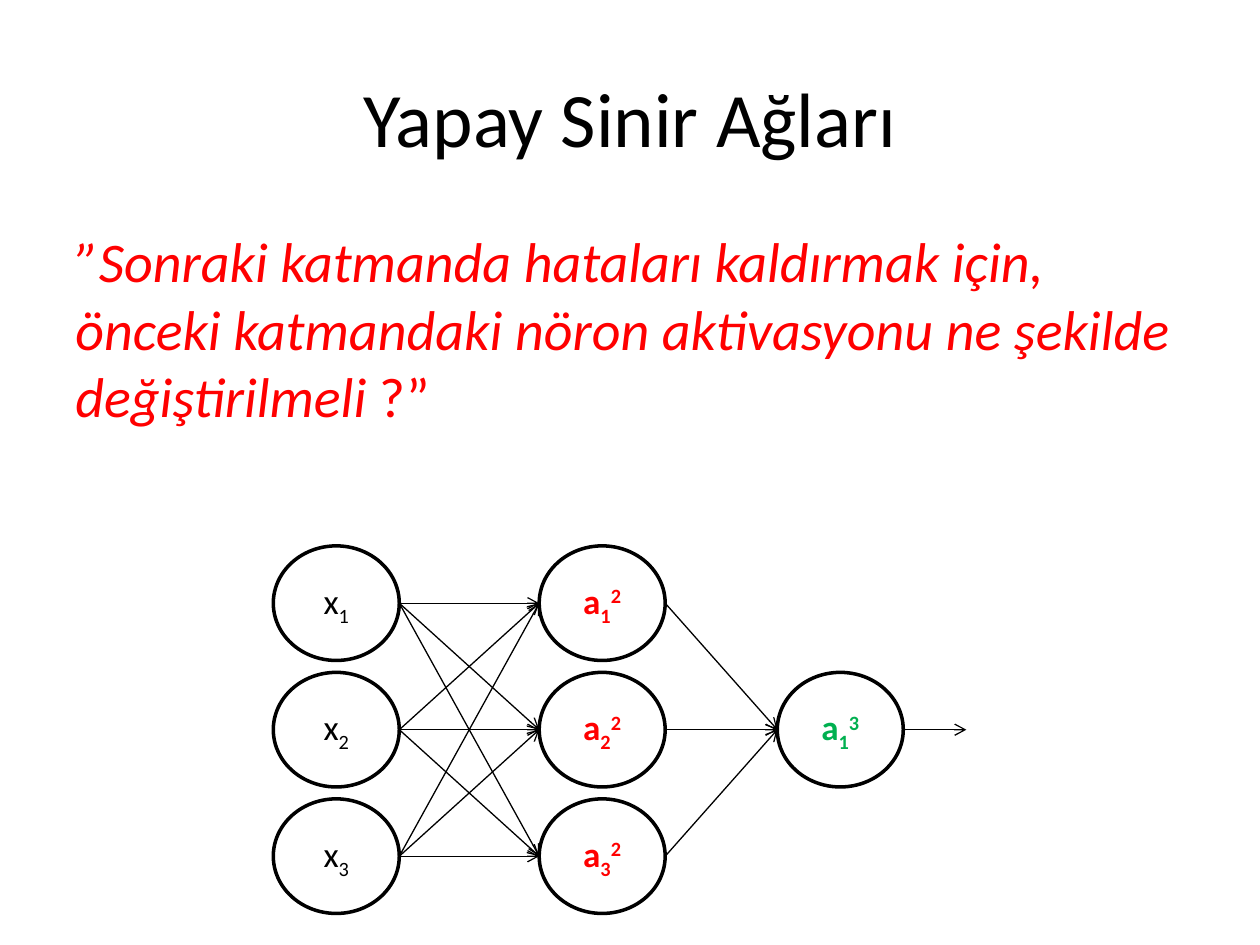
from itertools import product

from lxml.etree import SubElement
from pptx import Presentation
from pptx.dml.color import RGBColor
from pptx.enum.shapes import MSO_CONNECTOR, MSO_SHAPE
from pptx.enum.text import MSO_ANCHOR, PP_ALIGN
from pptx.oxml.ns import qn
from pptx.util import Cm, Pt

# Content
TITLE = "Yapay Sinir Ağları"
QUESTION = [
    ("”Sonraki katmanda hataları kaldırmak için, "
     "önceki katmandaki nöron aktivasyonu ne şekilde değiştirilmeli ", True),
    ("?”", False),
]
# Each neuron: letter, subscript, superscript
LAYERS = [
    {"left": 5.51, "color": "input", "neurons": [("x", "1", ""), ("x", "2", ""), ("x", "3", "")]},
    {"left": 10.87, "color": "hidden", "neurons": [("a", "1", "2"), ("a", "2", "2"), ("a", "3", "2")]},
    {"left": 15.67, "color": "output", "neurons": [("a", "1", "3")]},
]
COLORS = {"ink": "000000", "paper": "FFFFFF", "question": "FF0000",
          "input": "000000", "hidden": "FF0000", "output": "00B050"}
FONT = "Calibri"

# Network layout in cm
NEURON_WIDTH, NEURON_HEIGHT = 2.54, 2.31
MIDDLE_Y, ROW_PITCH = 14.71, 2.55
OUTPUT_LENGTH = 1.27
BASELINES = (0, -25000, 30000)


def rgb(name):
    return RGBColor.from_string(COLORS[name])


def add_run(paragraph, text, size, color, bold=False, italic=False, baseline=0):
    run = paragraph.add_run()
    run.text = text
    font = run.font
    font.name, font.size, font.bold, font.italic = FONT, Pt(size), bold, italic
    font.color.rgb = rgb(color)
    if baseline:
        run._r.get_or_add_rPr().set("baseline", str(baseline))


def add_text_area(top, height, anchor, align):
    frame = slide.shapes.add_textbox(Cm(1.27), Cm(top), Cm(22.86), Cm(height)).text_frame
    frame.word_wrap = True
    frame.vertical_anchor = anchor
    frame.paragraphs[0].alignment = align
    return frame.paragraphs[0]


def add_neuron(left, center_y, label, color):
    neuron = slide.shapes.add_shape(
        MSO_SHAPE.OVAL, Cm(left), Cm(center_y - NEURON_HEIGHT / 2),
        Cm(NEURON_WIDTH), Cm(NEURON_HEIGHT))
    neuron.shadow.inherit = False
    neuron.fill.solid()
    neuron.fill.fore_color.rgb = rgb("paper")
    neuron.line.color.rgb = rgb("ink")
    neuron.line.width = Pt(2)
    frame = neuron.text_frame
    frame.vertical_anchor = MSO_ANCHOR.MIDDLE
    paragraph = frame.paragraphs[0]
    paragraph.alignment = PP_ALIGN.CENTER
    for text, baseline in zip(label, BASELINES):
        if text:
            add_run(paragraph, text, 20, color, bold=color != "input", baseline=baseline)


def add_arrow(start_x, start_y, end_x, end_y):
    arrow = slide.shapes.add_connector(
        MSO_CONNECTOR.STRAIGHT, Cm(start_x), Cm(start_y), Cm(end_x), Cm(end_y))
    arrow.line.color.rgb = rgb("ink")
    arrow.line.width = Pt(0.75)
    SubElement(arrow.line._get_or_add_ln(), qn("a:tailEnd"), type="arrow")
    SubElement(arrow._element.spPr, qn("a:effectLst"))


def center_rows(layer):
    count = len(layer["neurons"])
    return [MIDDLE_Y + (row - (count - 1) / 2) * ROW_PITCH for row in range(count)]


presentation = Presentation()
presentation.slide_width, presentation.slide_height = Cm(25.4), Cm(19.05)
slide = presentation.slides.add_slide(presentation.slide_layouts[6])

# Title and question
title = add_text_area(0.76, 3.18, MSO_ANCHOR.MIDDLE, PP_ALIGN.CENTER)
add_run(title, TITLE, 44, "ink")
question = add_text_area(4.45, 6.55, MSO_ANCHOR.TOP, PP_ALIGN.LEFT)
for text, italic in QUESTION:
    add_run(question, text, 32, "question", italic=italic)

# Neurons
for layer in LAYERS:
    for center_y, label in zip(center_rows(layer), layer["neurons"]):
        add_neuron(layer["left"], center_y, label, layer["color"])

# Every neuron feeds every neuron of the next layer
for layer, following in zip(LAYERS, LAYERS[1:]):
    for start_y, end_y in product(center_rows(layer), center_rows(following)):
        add_arrow(layer["left"] + NEURON_WIDTH, start_y, following["left"], end_y)

# Network output
output_x = LAYERS[-1]["left"] + NEURON_WIDTH
add_arrow(output_x, MIDDLE_Y, output_x + OUTPUT_LENGTH, MIDDLE_Y)

presentation.save("out.pptx")
